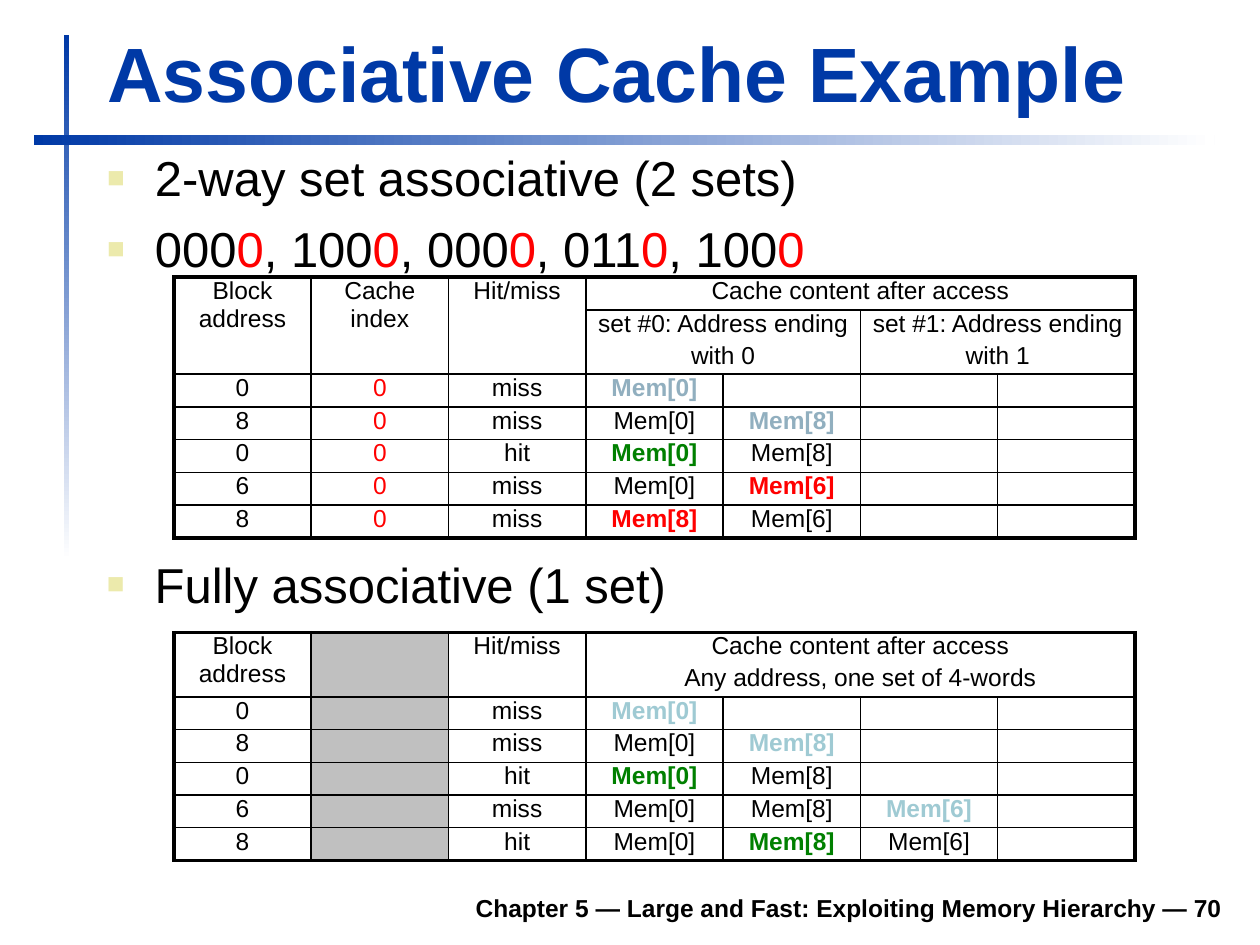
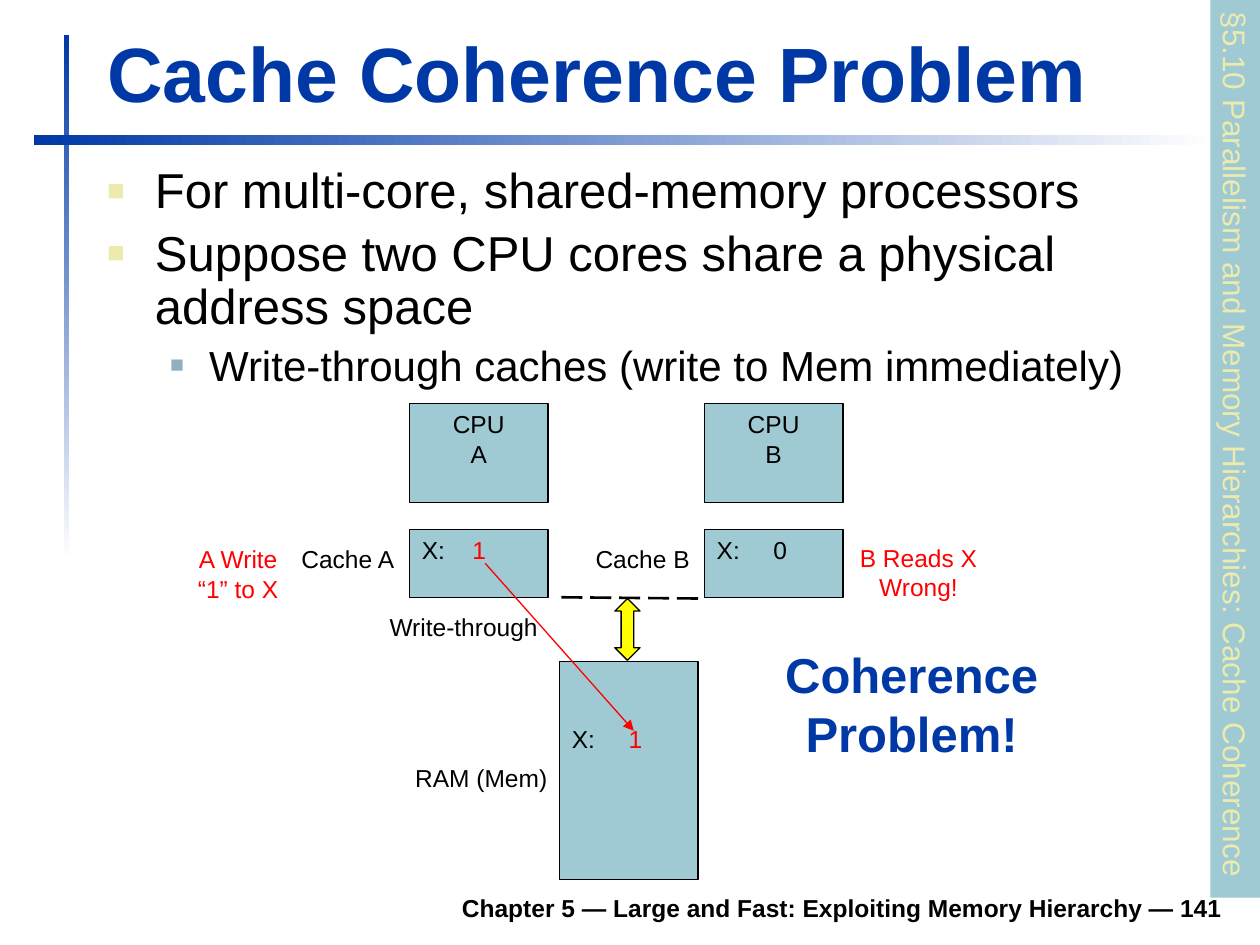
from lxml.etree import SubElement
from pptx import Presentation
from pptx.dml.color import RGBColor
from pptx.enum.dml import MSO_LINE
from pptx.enum.shapes import MSO_CONNECTOR, MSO_SHAPE
from pptx.enum.text import MSO_ANCHOR as Anchor, MSO_AUTO_SIZE as AutoSize, PP_ALIGN as Align
from pptx.oxml.ns import qn
from pptx.util import Inches, Pt

COLOURS = {
    "title": "0039A6", "text": "000000", "page": "FFFFFF", "bullet": "ECEAAC",
    "subbullet": "91AFBF", "block": "9FCAD3", "red": "FF0000", "hit": "008000",
    "unused": "C0C0C0", "bus": "FFFF00",
}
FONT = "Arial"
FOOTER = "Chapter 5 — Large and Fast: Exploiting Memory Hierarchy — "
# Bullet levels: colour, size in percent of the text, left margin, hanging indent, text size
LEVELS = [("bullet", 60, 0.38, 0.38, 28), ("subbullet", 55, 0.81, 0.31, 24)]
COLUMN, ROW, HEAD = 1.09, 0.26, 0.51
THIN, THICK = 1, 2.25


def rgb(colour):
    return RGBColor.from_string(COLOURS[colour])


def place(shape, box):
    shape.left, shape.top, shape.width, shape.height = map(Inches, box)


class Deck:
    """Holds the style, the presentation and the slide being built."""

    def __init__(self):
        self.prs = Presentation()
        self.prs.slide_width, self.prs.slide_height = Inches(10), Inches(7.5)
        self.slide = None

    # ---- Text ----
    def add_runs(self, paragraph, runs, size, colour="text", bold=False):
        """Runs are plain strings, or tuples of text, colour and optional bold."""
        for run in [runs] if isinstance(runs, (str, tuple)) else runs:
            text, own_colour, *own_bold = (run, colour) if isinstance(run, str) else run
            piece = paragraph.add_run()
            piece.text = text
            font = piece.font
            font.name, font.size = FONT, Pt(size)
            font.bold = own_bold[0] if own_bold else bold
            font.color.rgb = rgb(own_colour)

    def fill_frame(self, frame, lines, size, colour="text", bold=False,
                   align=Align.CENTER, gap=0, tab=None):
        for number, runs in enumerate(lines):
            paragraph = frame.add_paragraph() if number else frame.paragraphs[0]
            paragraph.alignment = align
            paragraph.space_before = Pt(gap if number else 0)
            if tab:
                stops = SubElement(paragraph._p.get_or_add_pPr(), qn("a:tabLst"))
                SubElement(stops, qn("a:tab"), pos=str(Inches(tab)), algn="l")
            self.add_runs(paragraph, runs, size, colour, bold)

    def label(self, box, text, size=14, colour="text", bold=False,
              align=Align.CENTER, anchor=Anchor.TOP):
        area = self.slide.shapes.add_textbox(*map(Inches, box))
        area.text_frame.word_wrap = True
        area.text_frame.vertical_anchor = anchor
        self.fill_frame(area.text_frame, [text], size, colour, bold, align)

    def bullets(self, area, items, spacing=None, gap=7):
        """Items are pairs of level and runs."""
        frame = area.text_frame
        frame.auto_size, frame.word_wrap = AutoSize.NONE, True
        frame.margin_top = Inches(0.09)
        for number, (level, runs) in enumerate(items):
            colour, percent, margin, hang, size = LEVELS[level]
            paragraph = frame.add_paragraph() if number else frame.paragraphs[0]
            paragraph.level = level
            paragraph.alignment = Align.LEFT
            paragraph.space_before = Pt(gap if number else 0)
            paragraph.line_spacing = spacing
            props = paragraph._p.get_or_add_pPr()
            props.set("marL", str(Inches(margin)))
            props.set("indent", str(-Inches(hang)))
            tint = SubElement(props, qn("a:buClr"))
            SubElement(tint, qn("a:srgbClr"), val=COLOURS[colour])
            SubElement(props, qn("a:buSzPct"), val=str(percent * 1000))
            SubElement(props, qn("a:buFont"), typeface=FONT)
            SubElement(props, qn("a:buChar"), char="■")
            self.add_runs(paragraph, runs, size)

    # ---- Shared frame of every slide ----
    def start(self, title, page):
        self.slide = self.prs.slides.add_slide(self.prs.slide_layouts[1])
        for box, angle in (((0.51, 0.28, 0.04, 4.17), 270), ((0.27, 1.07, 9.37, 0.08), 0)):
            band = self.shape(box, None)
            band.fill.gradient()
            band.fill.gradient_angle = angle
            for stop, colour in zip(band.fill.gradient_stops, ("title", "page")):
                stop.color.rgb = rgb(colour)
        self.label((1.85, 6.98, 7.95, 0.39), FOOTER + str(page), bold=True,
                   align=Align.RIGHT, anchor=Anchor.BOTTOM)
        heading = self.slide.shapes.title
        place(heading, (0.75, 0.16, 9.03, 0.83))
        heading.text_frame.auto_size = AutoSize.NONE
        heading.text_frame.vertical_anchor = Anchor.BOTTOM
        self.fill_frame(heading.text_frame, [title], 44, "title", True, Align.LEFT)

    def body(self, box, items, **style):
        area = self.slide.placeholders[1]
        place(area, box)
        area.text_frame.vertical_anchor = Anchor.TOP
        self.bullets(area, items, **style)

    # ---- Shapes and lines ----
    def shape(self, box, colour, kind=MSO_SHAPE.RECTANGLE, outlined=False):
        item = self.slide.shapes.add_shape(kind, *map(Inches, box))
        item.shadow.inherit = False
        if colour:
            item.fill.solid()
            item.fill.fore_color.rgb = rgb(colour)
        if outlined:
            item.line.color.rgb = rgb("text")
            item.line.width = Pt(0.75)
        else:
            item.line.fill.background()
        return item

    def block(self, box, lines, **style):
        item = self.shape(box, "block", outlined=True)
        item.text_frame.vertical_anchor = Anchor.TOP
        self.fill_frame(item.text_frame, lines, 14, **style)
        return item

    def line(self, start, end, colour, width, dash=None, arrow=False):
        wire = self.slide.shapes.add_connector(
            MSO_CONNECTOR.STRAIGHT, *map(Inches, start + end))
        wire.line.color.rgb = rgb(colour)
        wire.line.width = Pt(width)
        if dash:
            wire.line.dash_style = dash
        props = wire._element.spPr
        if arrow:
            SubElement(props.get_or_add_ln(), qn("a:tailEnd"), type="triangle")
        SubElement(props, qn("a:effectLst"))

    # ---- Tables ----
    def table(self, left, top, heights, rows, merges, unused=()):
        """Cells hold a list of paragraphs, or one run; unused columns are grey."""
        width = len(rows[0])
        grid = self.slide.shapes.add_table(
            len(rows), width, Inches(left), Inches(top),
            Inches(COLUMN * width), Inches(sum(heights))).table
        grid.first_row = grid.horz_banding = False
        for column in grid.columns:
            column.width = Inches(COLUMN)
        for row, height in zip(grid.rows, heights):
            row.height = Inches(height)
        for first, last in merges:
            grid.cell(*first).merge(grid.cell(*last))
        for r, row in enumerate(rows):
            for c, content in enumerate(row):
                cell = grid.cell(r, c)
                self.borders(cell, {
                    "L": c == 0, "R": c + cell.span_width == width,
                    "T": r == 0, "B": r + cell.span_height == len(rows)})
                if c in unused:
                    cell.fill.solid()
                    cell.fill.fore_color.rgb = rgb("unused")
                else:
                    cell.fill.background()
                cell.margin_left = cell.margin_right = Inches(0.08)
                cell.margin_top = cell.margin_bottom = 0
                if content:
                    lines = content if isinstance(content, list) else [content]
                    self.fill_frame(cell.text_frame, lines, 14, gap=2.5)
                else:
                    SubElement(cell.text_frame.paragraphs[0]._p,
                               qn("a:endParaRPr"), sz="1400")

    def borders(self, cell, outer):
        props = cell._tc.get_or_add_tcPr()
        for side, is_outer in outer.items():
            edge = SubElement(props, qn("a:ln" + side),
                              w=str(Pt(THICK if is_outer else THIN)))
            paint = SubElement(edge, qn("a:solidFill"))
            SubElement(paint, qn("a:srgbClr"), val=COLOURS["text"])


def access_row(address, index, result, *contents):
    return [address, index, result, *contents, *[""] * (4 - len(contents))]


def associative_example(deck):
    deck.start("Associative Cache Example", 70)
    mem0, mem6, mem8 = "Mem[0]", "Mem[6]", "Mem[8]"
    zero = ("0", "red")

    # Two-way: the last bit of each address picks the set
    addresses = []
    for prefix in ("000", ", 100", ", 000", ", 011", ", 100"):
        addresses += [prefix, zero]
    deck.body((0.75, 1.08, 8.5, 1.1),
              [(0, "2-way set associative (2 sets)"), (0, addresses)])
    two_way = [
        ["Block address", "Cache index", "Hit/miss", "Cache content after access", "", "", ""],
        ["", "", "", ["set #0: Address ending", "with 0"], "",
         ["set #1: Address ending", "with 1"], ""],
        access_row("0", zero, "miss", (mem0, "subbullet", True)),
        access_row("8", zero, "miss", mem0, (mem8, "subbullet", True)),
        access_row("0", zero, "hit", (mem0, "hit", True), mem8),
        access_row("6", zero, "miss", mem0, (mem6, "red", True)),
        access_row("8", zero, "miss", (mem8, "red", True), mem6),
    ]
    header_merges = [((0, c), (1, c)) for c in range(3)]
    set_merges = [((0, 3), (0, 6)), ((1, 3), (1, 4)), ((1, 5), (1, 6))]
    deck.table(1.38, 2.2, [ROW, HEAD] + [ROW] * 5, two_way, header_merges + set_merges)

    # Fully associative: no index is needed
    caption = deck.slide.shapes.add_textbox(*map(Inches, (0.75, 4.31, 8.5, 0.63)))
    deck.bullets(caption, [(0, "Fully associative (1 set)")])
    fully = [
        ["Block address", "", "Hit/miss",
         ["Cache content after access", "Any address, one set of 4-words"], "", "", ""],
        access_row("0", "", "miss", (mem0, "block", True)),
        access_row("8", "", "miss", mem0, (mem8, "block", True)),
        access_row("0", "", "hit", (mem0, "hit", True), mem8),
        access_row("6", "", "miss", mem0, mem8, (mem6, "block", True)),
        access_row("8", "", "hit", mem0, (mem8, "hit", True), mem6),
    ]
    deck.table(1.38, 5.02, [HEAD] + [ROW] * 5, fully, [((0, 3), (0, 6))], unused=(1,))


def coherence_problem(deck):
    deck.start("Cache Coherence Problem", 141)
    deck.body((0.75, 1.23, 8.35, 1.49), [
        (0, "For multi-core, shared-memory processors"),
        (0, "Suppose two CPU cores share a physical address space"),
        (1, "Write-through caches (write to Mem immediately)"),
    ], spacing=0.9, gap=5.6)

    # Section tab on the right edge
    section = deck.shape((6.24, 3.36, 7.13, 0.4), "block")
    section.rotation = 90
    section.text_frame.word_wrap = False
    deck.fill_frame(section.text_frame,
                    ["§5.10 Parallelism and Memory Hierarchies: Cache Coherence"],
                    18, "bullet", align=Align.LEFT)

    # Cores with their caches
    one = ("1", "red")
    for core, left, value, tab in (("A", 3.25, one, 0.4), ("B", 5.59, "0", 0.45)):
        deck.block((left, 3.2, 1.1, 0.79), ["CPU", core])
        deck.block((left, 4.2, 1.1, 0.54), [["X:\t", value]], align=Align.LEFT, tab=tab)
        deck.label((left - 1, 4.27, 1.02, 0.34), "Cache " + core)

    # Shared memory and its bus
    ram = deck.block((4.44, 5.25, 1.1, 1.73), [["X:\t", one]], align=Align.LEFT, tab=0.45)
    ram.text_frame.margin_top = Inches(0.5)
    deck.label((3.19, 6.01, 1.26, 0.34), "RAM (Mem)")
    bus = deck.shape((4.88, 4.75, 0.2, 0.49), "bus", MSO_SHAPE.UP_DOWN_ARROW, outlined=True)
    bus.adjustments[0] = bus.adjustments[1] = 0.5
    deck.line((5.54, 4.75), (4.4, 4.74), "text", 1.5, dash=MSO_LINE.LONG_DASH)

    # The write and the stale read
    deck.line((3.85, 4.47), (5.03, 5.8), "red", 0.75, arrow=True)
    deck.label((2.97, 4.81, 1.42, 0.34), "Write-through")
    deck.label((1.38, 4.27, 1.02, 0.57), "A Write “1” to X", colour="red")
    deck.label((6.72, 4.26, 1.14, 0.57), "B Reads X Wrong!", colour="red")
    deck.label((6.1, 5.07, 2.27, 1.04), "Coherence Problem!", 28, "title", bold=True)


def main():
    deck = Deck()
    associative_example(deck)
    coherence_problem(deck)
    deck.prs.save("out.pptx")


if __name__ == "__main__":
    main()
